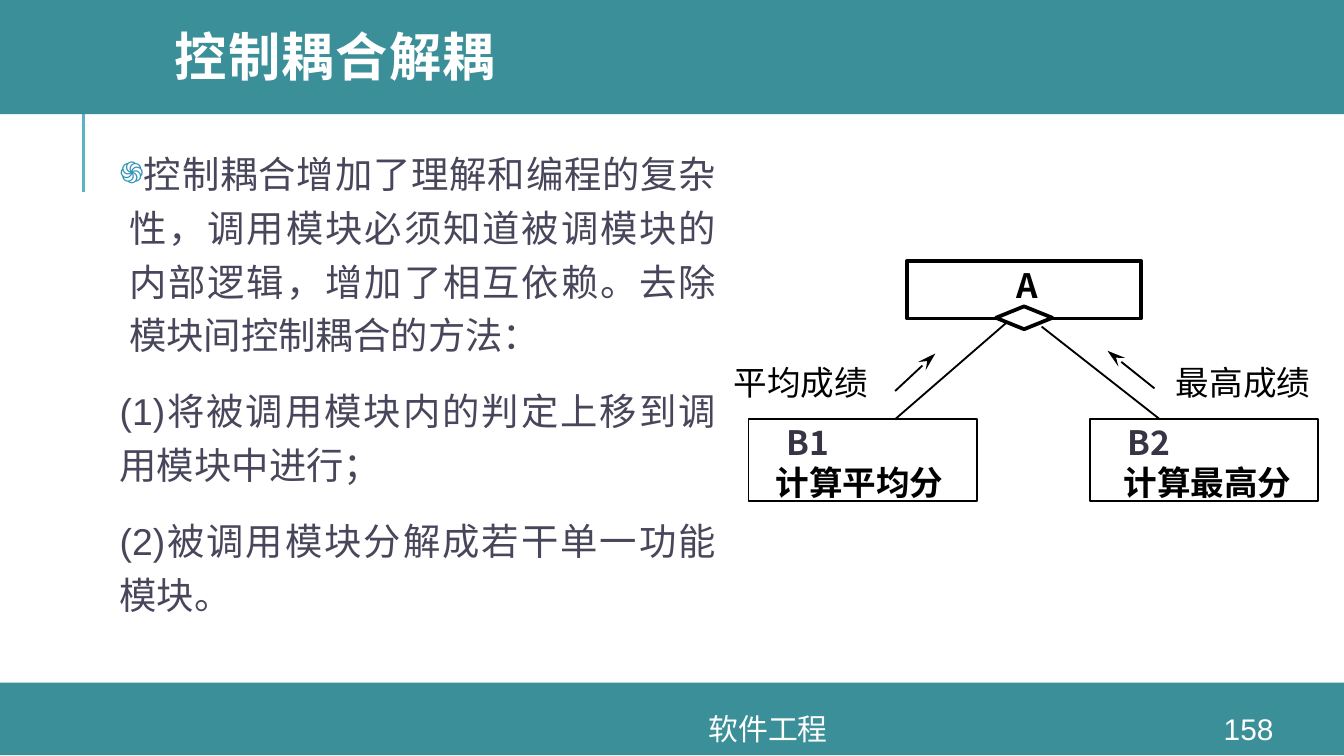
from pptx import Presentation
from pptx.dml.color import RGBColor
from pptx.enum.shapes import MSO_CONNECTOR as Conn, MSO_SHAPE as Kind
from pptx.enum.text import MSO_ANCHOR as Anchor, PP_ALIGN as Align
from pptx.oxml.ns import qn
from pptx.util import Inches, Pt
from lxml.etree import SubElement as Sub

TEAL = RGBColor(0x3A, 0x8F, 0x98)
AQUA = RGBColor(0x58, 0xB6, 0xC0)
WHITE = RGBColor(0xFF, 0xFF, 0xFF)
BLACK = RGBColor(0, 0, 0)
SLATE = RGBColor(0x48, 0x46, 0x5B)
DARK = RGBColor(0x37, 0x35, 0x45)
HAN = "Noto Sans CJK SC"
TIGHT = (0.08, 0.04)


def write(para, text, size=18, font=HAN, color=BLACK, bold=False, track=0):
    run = para.add_run()
    run.text = text
    style = run.font
    style.size, style.name, style.bold = Pt(size), font, bold
    style.color.rgb = color
    props = run._r.get_or_add_rPr()
    Sub(props, qn("a:ea")).set("typeface", HAN)
    if track:
        props.set("spc", str(track))


def mark(para):
    """Give the paragraph its flower bullet and hanging indent."""
    props = para._p.get_or_add_pPr()
    props.set("marL", str(Inches(0.07)))
    props.set("indent", str(Inches(-0.47)))
    tint = Sub(props, qn("a:buClr"))
    Sub(tint, qn("a:srgbClr")).set("val", "3494BA")
    Sub(props, qn("a:buSzPct")).set("val", "80000")
    Sub(props, qn("a:buFont")).set("typeface", "Arial")
    Sub(props, qn("a:buChar")).set("char", "֍")


class Deck:
    def __init__(self):
        self.file = Presentation()
        self.file.slide_width = Inches(10)
        self.file.slide_height = Inches(10) * 9 // 16
        self.slide = self.file.slides.add_slide(self.file.slide_layouts[6])

    def shape(self, x, y, w, h, fill=WHITE, line=0, kind=Kind.RECTANGLE):
        item = self.slide.shapes.add_shape(
            kind, Inches(x), Inches(y), Inches(w), Inches(h))
        item.shadow.inherit = False
        item.fill.solid()
        item.fill.fore_color.rgb = fill
        if line:
            item.line.color.rgb = BLACK
            item.line.width = Pt(line)
        else:
            item.line.fill.background()

    def line(self, x1, y1, x2, y2, color=BLACK, width=1, arrow=False):
        item = self.slide.shapes.add_connector(
            Conn.STRAIGHT, Inches(x1), Inches(y1), Inches(x2), Inches(y2))
        item.line.color.rgb = color
        item.line.width = Pt(width)
        if arrow:
            tip = Sub(item.line._get_or_add_ln(), qn("a:tailEnd"))
            tip.set("type", "stealth")
            tip.set("len", "lg")
        Sub(item._element.spPr, qn("a:effectLst"))

    def box(self, x, y, w, h, pad=(0.1, 0.05), anchor=Anchor.TOP, wrap=True):
        """Add an empty text box and return its frame."""
        frame = self.slide.shapes.add_textbox(
            Inches(x), Inches(y), Inches(w), Inches(h)).text_frame
        frame.word_wrap = wrap
        frame.vertical_anchor = anchor
        frame.margin_left = frame.margin_right = Inches(pad[0])
        frame.margin_top = frame.margin_bottom = Inches(pad[1])
        return frame

    def label(self, text, x, y, w, h, wrap=True, **style):
        frame = self.box(x, y, w, h, TIGHT, wrap=wrap)
        write(frame.paragraphs[0], text, **style)

    def title(self, text):
        para = self.box(1.2, 0, 8.49, 0.91, anchor=Anchor.MIDDLE).paragraphs[0]
        para.line_spacing = 0.8
        write(para, text, size=28, font="Montserrat", color=WHITE, bold=True, track=80)

    def body(self, texts):
        frame = self.box(0.84, 1.01, 4.54, 4.16, (0.05, 0.05))
        for i, text in enumerate(texts):
            para = frame.add_paragraph() if i else frame.paragraphs[0]
            if i:
                para.space_before = Pt(12)
            else:
                mark(para)
            para.alignment = Align.JUSTIFY
            para.line_spacing = 1.2
            write(para, text, size=20, font="Arial", color=SLATE)

    def foot(self, text, x, w):
        para = self.box(x, 5.31, w, 0.23, anchor=Anchor.MIDDLE).paragraphs[0]
        para.alignment = Align.CENTER
        write(para, text, size=16, font="Arial", color=WHITE)

    def module(self, name, task, x, shift, span):
        """Draw a lower module; shift places its name and task from x."""
        self.shape(x, 3.12, 1.7, 0.61, line=1)
        self.label(task, x + shift[1], 3.4, span, 0.86, bold=True)
        self.label(name, x + shift[0], 3.1, 0.58, 0.48, color=DARK, bold=True)


def main():
    deck = Deck()
    deck.line(0.62, 1.43, 0.62, 0.68, color=AQUA, width=1.5)
    deck.shape(0, 5.08, 10, 0.54, fill=TEAL)
    deck.shape(0, -0.03, 10, 0.88, fill=TEAL)
    deck.title("控制耦合解耦")
    deck.body([
        "控制耦合增加了理解和编程的复杂性，调用模块必须知道被调模块的内部逻辑，"
        "增加了相互依赖。去除模块间控制耦合的方法：",
        "(1)将被调用模块内的判定上移到调用模块中进行；",
        "(2)被调用模块分解成若干单一功能模块。",
    ])
    deck.foot("软件工程", 2.61, 6.21)
    deck.foot("158", 8.89, 0.8)

    deck.shape(6.75, 1.94, 1.74, 0.43, line=2)
    deck.label("A", 7.48, 1.93, 0.38, 0.48, wrap=False, bold=True)
    deck.shape(7.41, 2.28, 0.42, 0.17, line=2, kind=Kind.DIAMOND)
    deck.module("B1", "计算平均分", 5.57, (0.2, 0.12), 1.62)
    deck.module("B2", "计算最高分", 8.11, (0.2, 0.17), 1.54)
    deck.line(7.49, 2.4, 6.66, 3.12)
    deck.line(7.75, 2.43, 8.63, 3.12)
    deck.label("平均成绩", 5.38, 2.65, 1.57, 0.48, wrap=False)
    deck.label("最高成绩", 8.67, 2.65, 1.5, 0.86)
    deck.line(6.66, 2.91, 6.96, 2.63, arrow=True)
    deck.line(8.59, 2.89, 8.24, 2.61, arrow=True)
    deck.file.save("out.pptx")


if __name__ == "__main__":
    main()
